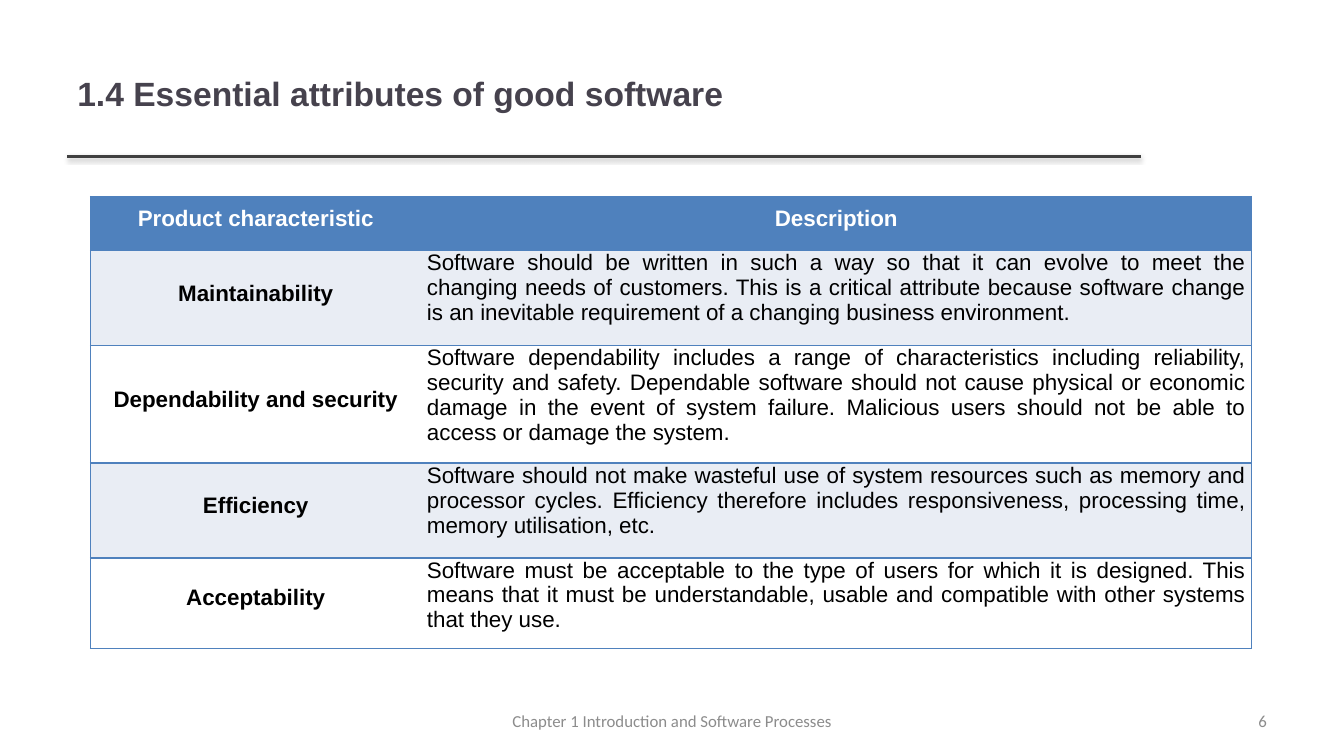
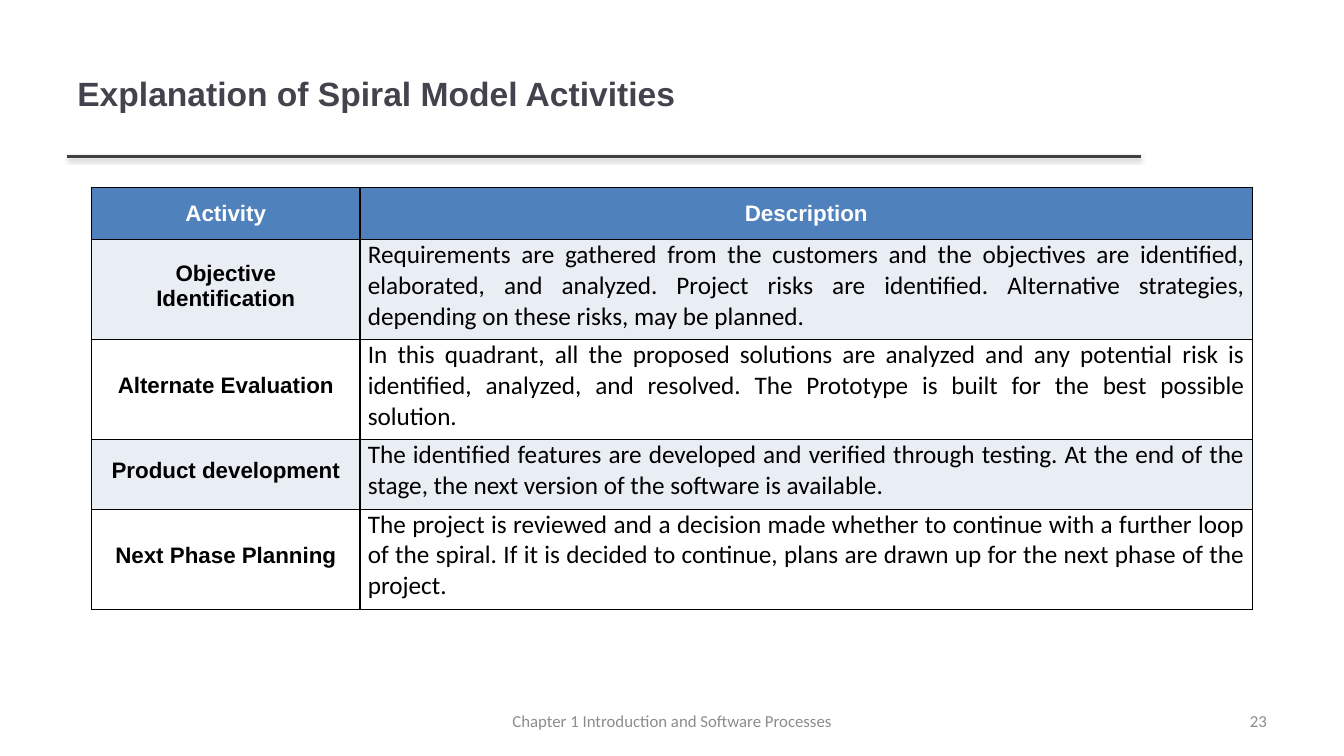
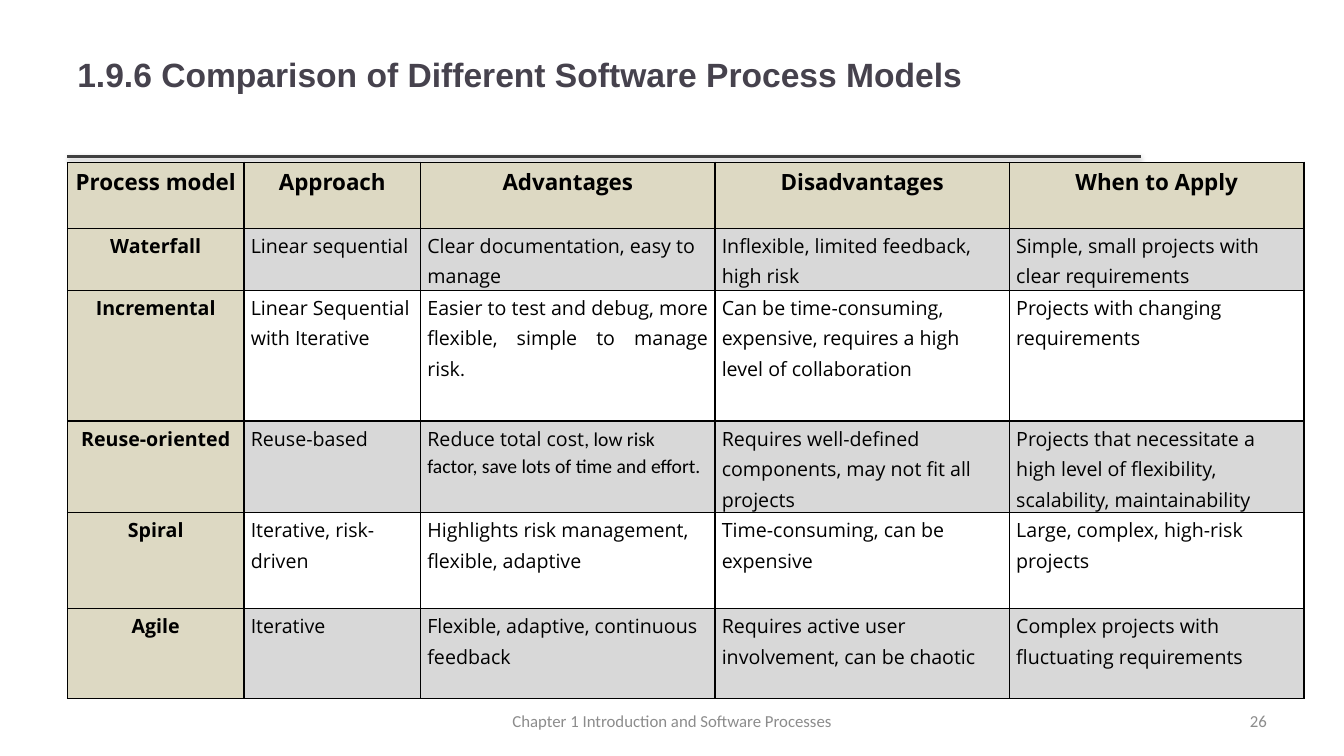
from lxml import etree
from pptx import Presentation
from pptx.dml.color import RGBColor
from pptx.enum.shapes import MSO_CONNECTOR
from pptx.enum.text import MSO_ANCHOR, PP_ALIGN
from pptx.oxml.ns import qn
from pptx.util import Cm, Pt

LEFT, CENTER, RIGHT, JUSTIFY = PP_ALIGN.LEFT, PP_ALIGN.CENTER, PP_ALIGN.RIGHT, PP_ALIGN.JUSTIFY
TOP, MIDDLE = MSO_ANCHOR.TOP, MSO_ANCHOR.MIDDLE
STRAIGHT = MSO_CONNECTOR.STRAIGHT


class Theme:
    arial, calibri, open_sans = "Arial", "Calibri", "Open Sans"
    title, rule, footer = "46424D", "404040", "8C8C8C"
    black, white = "000000", "FFFFFF"
    blue, pale_blue = "4F81BD", "E9EDF4"
    tan, grey = "DDD9C3", "D8D8D8"
    title_size, body_size, table_size, small_size, footer_size = 24, 18, 16, 14, 12


FOOTER = "Chapter 1 Introduction and Software Processes"

ATTRIBUTES = [
    ("Product characteristic", "Description"),
    ("Maintainability",
     "Software should be written in such a way so that it can evolve to meet the changing needs of "
     "customers. This is a critical attribute because software change is an inevitable requirement "
     "of a changing business environment."),
    ("Dependability and security",
     "Software dependability includes a range of characteristics including reliability, security and "
     "safety. Dependable software should not cause physical or economic damage in the event of system "
     "failure. Malicious users should not be able to access or damage the system."),
    ("Efficiency",
     "Software should not make wasteful use of system resources such as memory and processor cycles. "
     "Efficiency therefore includes responsiveness, processing time, memory utilisation, etc."),
    ("Acceptability",
     "Software must be acceptable to the type of users for which it is designed. This means that it "
     "must be understandable, usable and compatible with other systems that they use."),
]

ACTIVITIES = [
    ("Activity", "Description"),
    ("Objective\nIdentification",
     "Requirements are gathered from the customers and the objectives are identified, elaborated, and "
     "analyzed. Project risks are identified. Alternative strategies, depending on these risks, may "
     "be planned."),
    ("Alternate Evaluation",
     "In this quadrant, all the proposed solutions are analyzed and any potential risk is identified, "
     "analyzed, and resolved. The Prototype is built for the best possible solution."),
    ("Product development",
     "The identified features are developed and verified through testing. At the end of the stage, "
     "the next version of the software is available."),
    ("Next Phase Planning",
     "The project is reviewed and a decision made whether to continue with a further loop of the "
     "spiral. If it is decided to continue, plans are drawn up for the next phase of the project."),
]

MODELS = [
    ("Process model", "Approach", "Advantages", "Disadvantages", "When to Apply"),
    ("Waterfall", "Linear sequential", "Clear documentation, easy to manage",
     "Inflexible, limited feedback, high risk", "Simple, small projects with clear requirements"),
    ("Incremental", "Linear Sequential with Iterative",
     [("Easier to test and debug, more flexible, simple to manage risk", Theme.open_sans),
      (".", Theme.calibri)],
     "Can be time-consuming, expensive, requires a high level of collaboration",
     "Projects with changing requirements"),
    ("Reuse-oriented", "Reuse-based",
     [("Reduce total cost", Theme.open_sans),
      (", low risk factor, save lots of time and effort.", Theme.calibri)],
     "Requires well-defined components, may not fit all projects",
     "Projects that necessitate a high level of flexibility, scalability, maintainability"),
    ("Spiral", "Iterative, risk-driven", "Highlights risk management, flexible, adaptive",
     "Time-consuming, can be expensive", "Large, complex, high-risk projects"),
    ("Agile", "Iterative", "Flexible, adaptive, continuous feedback",
     "Requires active user involvement, can be chaotic",
     "Complex projects with fluctuating requirements"),
]

BLUE_HEAD = dict(font=Theme.arial, size=Theme.table_size, color=Theme.white, bold=True, align=CENTER)
BLUE_LABEL = dict(BLUE_HEAD, color=Theme.black, anchor=MIDDLE)
MODEL_HEAD = dict(font=Theme.open_sans, size=Theme.table_size, bold=True, align=CENTER,
                  spacing=1.15, margins=(0.17, 0, 0.17, 0))
MODEL_LABEL = dict(MODEL_HEAD, size=Theme.small_size)
MODEL_DETAIL = dict(MODEL_LABEL, bold=False, align=LEFT)
ATTRIBUTE_MARGINS = (0.15, 0, 0.15, 0.25)
ACTIVITY_MARGINS = (0.2, 0, 0.2, 0.18)

SLIDES = [
    dict(title="1.4 Essential attributes of good software", number=6, title_bottom=0.13,
         table=dict(
             rows=ATTRIBUTES, left=2.28, top=4.95, widths=(8.33, 20.93),
             heights=(1.37, 2.39, 2.9, 2.39, 2.13),
             head_fill=Theme.blue, label_fill=None, band=Theme.pale_blue,
             border=Theme.blue, inner_verticals=False,
             head=dict(BLUE_HEAD, margins=(0.15, 0.25, 0.15, 0.25)),
             label=dict(BLUE_LABEL, margins=ATTRIBUTE_MARGINS),
             detail=dict(font=Theme.arial, size=Theme.table_size, align=JUSTIFY,
                         margins=ATTRIBUTE_MARGINS))),
    dict(title="Explanation of Spiral Model Activities", number=23, title_bottom=0.13,
         table=dict(
             rows=ACTIVITIES, left=2.31, top=4.72, widths=(6.76, 22.5),
             heights=(1.32, 2.52, 2.52, 1.75, 2.52),
             head_fill=Theme.blue, label_fill=None, band=Theme.pale_blue,
             border=Theme.black, inner_verticals=True,
             head=dict(BLUE_HEAD, anchor=MIDDLE, margins=(0.2, 0.2, 0.2, 0.2)),
             label=dict(BLUE_LABEL, margins=ACTIVITY_MARGINS),
             detail=dict(font=Theme.calibri, size=Theme.body_size, align=JUSTIFY,
                         margins=ACTIVITY_MARGINS))),
    dict(title="1.9.6 Comparison of Different Software Process Models", number=26, title_bottom=1.1,
         table=dict(
             rows=MODELS, left=1.7, top=4.09, widths=(4.45, 4.45, 7.42, 7.42, 7.42),
             heights=(1.66, 1.56, 3.3, 2.31, 2.42, 2.27),
             head_fill=Theme.tan, label_fill=Theme.tan, band=Theme.grey,
             border=Theme.black, inner_verticals=True, justified=(2, 2),
             head=MODEL_HEAD, label=MODEL_LABEL, detail=MODEL_DETAIL)),
]


def write_text(holder, content, *, font, size, color=Theme.black, bold=False, align=LEFT,
               anchor=TOP, margins=(0.25, 0.13, 0.25, 0.13), spacing=None):
    holder.margin_left, holder.margin_top, holder.margin_right, holder.margin_bottom = map(Cm, margins)
    holder.vertical_anchor = anchor
    para = getattr(holder, "text_frame", holder).paragraphs[0]
    para.alignment = align
    if spacing:
        para.line_spacing = spacing
    pieces = [(content, font)] if isinstance(content, str) else content
    for text, face in pieces:
        for index, line in enumerate(text.split("\n")):
            if index:
                para.add_line_break()
            span = para.add_run()
            span.text = line
            span.font.name = face
            span.font.size = Pt(size)
            span.font.bold = bold
            span.font.color.rgb = RGBColor.from_string(color)


def add_text(slide, content, left, top, width, height, **style):
    box = slide.shapes.add_textbox(Cm(left), Cm(top), Cm(width), Cm(height))
    box.text_frame.word_wrap = True
    write_text(box.text_frame, content, anchor=MIDDLE, **style)


def add_rule(slide):
    rule = slide.shapes.add_connector(STRAIGHT, Cm(1.7), Cm(3.94), Cm(28.75), Cm(3.94))
    rule.line.color.rgb = RGBColor.from_string(Theme.rule)
    rule.line.width = Pt(2)
    effects = etree.SubElement(rule._element.spPr, qn("a:effectLst"))
    shadow = etree.SubElement(effects, qn("a:outerShdw"), blurRad=str(Pt(3.1)), dist=str(Pt(1.6)),
                              dir="5400000", algn="ctr", rotWithShape="0")
    tint = etree.SubElement(shadow, qn("a:srgbClr"), val=Theme.black)
    etree.SubElement(tint, qn("a:alpha"), val="38000")


def add_frame(slide, title, number, title_bottom):
    add_rule(slide)
    add_text(slide, title, 1.7, 0.76, 27, 3.18, font=Theme.arial, size=Theme.title_size,
             color=Theme.title, bold=True, margins=(0.25, 0.13, 0.25, title_bottom))
    footer = dict(font=Theme.calibri, size=Theme.footer_size, color=Theme.footer)
    add_text(slide, FOOTER, 11.58, 17.65, 10.72, 1.02, align=CENTER, **footer)
    add_text(slide, str(number), 24.28, 17.65, 7.9, 1.02, align=RIGHT, **footer)


def set_borders(cell, color, sides):
    properties = cell._tc.get_or_add_tcPr()
    for side in "LRTB":
        edge = etree.SubElement(properties, qn(f"a:ln{side}"), w=str(Pt(1)))
        if side in sides:
            fill = etree.SubElement(edge, qn("a:solidFill"))
            etree.SubElement(fill, qn("a:srgbClr"), val=color)
        else:
            etree.SubElement(edge, qn("a:noFill"))


def add_grid(slide, rows, left, top, widths, heights, head_fill, label_fill, band, border,
             inner_verticals, head, label, detail, justified=None):
    grid = slide.shapes.add_table(len(rows), len(widths), Cm(left), Cm(top),
                                  Cm(sum(widths)), Cm(sum(heights))).table
    grid.first_row = grid.horz_banding = False
    for column, width in zip(grid.columns, widths):
        column.width = Cm(width)
    for row, height in zip(grid.rows, heights):
        row.height = Cm(height)
    last = len(widths) - 1
    for r, row in enumerate(rows):
        for c, content in enumerate(row):
            cell = grid.cell(r, c)
            sides = "TB"
            if inner_verticals or c == 0:
                sides += "L"
            if inner_verticals or c == last:
                sides += "R"
            set_borders(cell, border, sides)
            row_fill = band if r % 2 else Theme.white
            if r == 0:
                style, fill = head, head_fill
            elif c == 0:
                style, fill = label, label_fill or row_fill
            else:
                style, fill = detail, row_fill
            if (r, c) == justified:
                style = dict(style, align=JUSTIFY)
            cell.fill.solid()
            cell.fill.fore_color.rgb = RGBColor.from_string(fill)
            write_text(cell, content, **style)


def main():
    deck = Presentation()
    deck.slide_width, deck.slide_height = Cm(33.87), Cm(19.05)
    for page in SLIDES:
        slide = deck.slides.add_slide(deck.slide_layouts[6])
        add_frame(slide, page["title"], page["number"], page["title_bottom"])
        add_grid(slide, **page["table"])
    deck.save("out.pptx")


if __name__ == "__main__":
    main()
